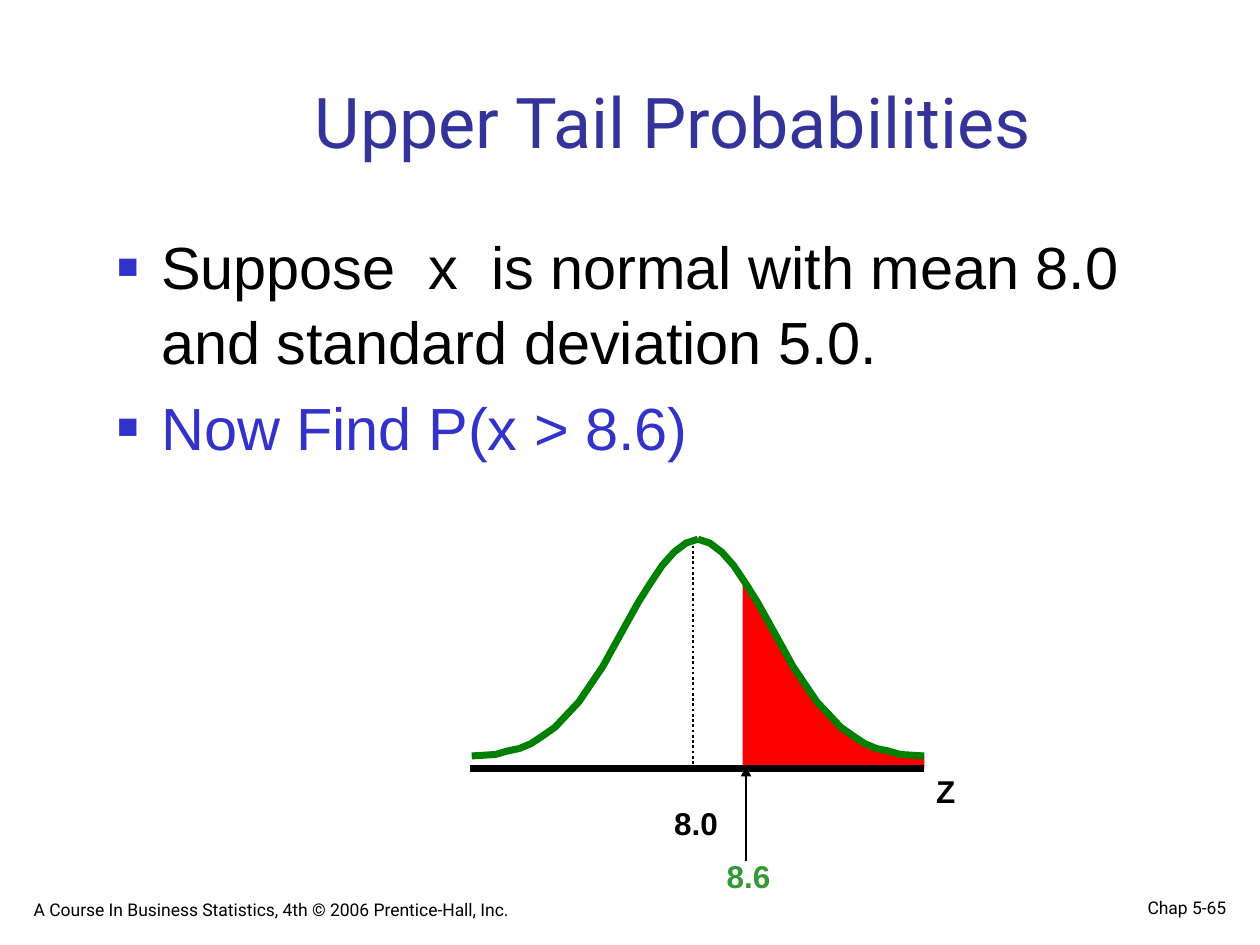
from lxml.etree import SubElement
from pptx import Presentation
from pptx.dml.color import RGBColor
from pptx.enum.dml import MSO_LINE
from pptx.enum.shapes import MSO_CONNECTOR
from pptx.enum.text import MSO_ANCHOR, PP_ALIGN
from pptx.oxml.ns import qn
from pptx.util import Cm, Pt


def rgb(value):
    return RGBColor.from_string(value)


class SlideBuilder:
    heading_font = "Roboto"
    body_font = "Arial"
    black = "000000"
    blue = "3333CC"

    def __init__(self, slide):
        self.s = slide

    def place(self, sp, left, top, width, height):
        sp.left, sp.top = Cm(left), Cm(top)
        sp.width, sp.height = Cm(width), Cm(height)

    def format(self, p, font, size, color, bold=False, align=PP_ALIGN.LEFT):
        p.alignment = align
        for r in p.runs:
            r.font.name = font
            r.font.size = Pt(size)
            r.font.bold = bold
            r.font.color.rgb = rgb(color)

    def title(self, text, *box):
        sp = self.s.shapes.title
        self.place(sp, *box)
        tf = sp.text_frame
        tf.text = text
        tf.vertical_anchor = MSO_ANCHOR.BOTTOM
        self.format(tf.paragraphs[0], self.heading_font, 40, "333399", align=PP_ALIGN.CENTER)

    def text(self, text, *box, font=body_font, size=18, color=black, bold=False,
             align=PP_ALIGN.LEFT, anchor=MSO_ANCHOR.TOP, wrap=True):
        sp = self.s.shapes.add_textbox(*map(Cm, box))
        tf = sp.text_frame
        tf.word_wrap = wrap
        tf.vertical_anchor = anchor
        tf.text = text
        self.format(tf.paragraphs[0], font, size, color, bold, align)

    def footer(self, text, *box, align=PP_ALIGN.LEFT):
        self.text(text, *box, font=self.heading_font, size=10, align=align,
                  anchor=MSO_ANCHOR.BOTTOM)

    def label(self, text, *box, color=black):
        self.text(text, *box, color=color, bold=True, wrap=False)

    def bullets(self, items, *box):
        tf = self.s.shapes.add_textbox(*map(Cm, box)).text_frame
        tf.word_wrap = True
        for i, (text, color) in enumerate(items):
            p = tf.paragraphs[0] if i == 0 else tf.add_paragraph()
            p.text = text
            p.line_spacing = 1.05
            if i:
                p.space_before = Pt(6)
            pPr = p._p.get_or_add_pPr()
            pPr.set("marL", str(Cm(0.89)))
            pPr.set("indent", str(-Cm(0.89)))
            clr = SubElement(pPr, qn("a:buClr"))
            SubElement(clr, qn("a:srgbClr"), val=self.blue)
            SubElement(pPr, qn("a:buSzPct"), val="60000")
            SubElement(pPr, qn("a:buFont"), typeface=self.body_font)
            SubElement(pPr, qn("a:buChar"), char="■")
            self.format(p, self.body_font, 34, color)

    def freeform(self, points, color, width, fill=False):
        start, *rest = [(Cm(x), Cm(y)) for x, y in points]
        builder = self.s.shapes.build_freeform(*start)
        builder.add_line_segments(rest, close=fill)
        sp = builder.convert_to_shape()
        sp.shadow.inherit = False
        if fill:
            sp.fill.solid()
            sp.fill.fore_color.rgb = rgb(color)
        else:
            sp.fill.background()
        sp.line.color.rgb = rgb(color)
        sp.line.width = Pt(width)

    def line(self, x1, y1, x2, y2, width, dash=None, arrow=False):
        cxn = self.s.shapes.add_connector(MSO_CONNECTOR.STRAIGHT, *map(Cm, (x1, y1, x2, y2)))
        cxn.line.color.rgb = rgb(self.black)
        cxn.line.width = Pt(width)
        if dash:
            cxn.line.dash_style = dash
        if arrow:
            SubElement(cxn.line._get_or_add_ln(), qn("a:tailEnd"), type="triangle")
        SubElement(cxn._element.spPr, qn("a:effectLst"))


def main():
    prs = Presentation()
    prs.slide_width, prs.slide_height = Cm(25.4), Cm(19.05)
    s = SlideBuilder(prs.slides.add_slide(prs.slide_layouts[5]))

    s.footer("Chap 5-65", 19.69, 17.78, 5.28, 0.86, align=PP_ALIGN.RIGHT)
    s.footer("A Course In Business Statistics, 4th © 2006 Prentice-Hall, Inc.",
             0.43, 17.78, 12.9, 0.89)
    s.title("Upper Tail Probabilities", 2.74, 1.07, 21.64, 2.34)
    s.bullets([("Suppose  x  is normal with mean 8.0 and standard deviation 5.0.", s.black),
               ("Now Find P(x > 8.6)", s.blue)], 2.11, 4.45, 22.43, 11.43)

    axis_y, center, step = 15.49, 14.07, 0.24
    upper_tail = [(14.99, axis_y), (14.99, 11.61), (15.09, 11.91), (15.34, 12.29),
                  (15.49, 12.65), (15.67, 12.9), (15.85, 13.28), (16.18, 13.79),
                  (16.46, 14.17), (16.92, 14.66), (17.65, 15.09), (18.62, 15.24),
                  (18.62, axis_y)]
    s.freeform(upper_tail, "FF0000", 1, fill=True)

    half_curve = [(0, 10.87), (1, 10.95), (2, 11.13), (3, 11.4), (4, 11.76), (5, 12.14),
                  (6, 12.57), (8, 13.44), (10, 14.15), (12, 14.66), (13, 14.83),
                  (14, 14.99), (15, 15.09), (16, 15.14), (17, 15.21), (19, 15.24)]
    for side in (1, -1):
        s.freeform([(center + side * step * k, y) for k, y in half_curve], "008000", 4)
    s.line(9.47, axis_y, 18.62, axis_y, 4)

    s.label("Z", 18.62, 15.44, 1.07, 1.02)
    s.label("8.6", 14.4, 17.15, 1.4, 1.02, color="339933")
    s.label("8.0", 13.34, 16.08, 1.4, 1.02)
    s.line(15.04, 17.35, 15.04, 15.44, 1, arrow=True)
    s.line(13.97, 11, 13.97, 15.44, 1.5, dash=MSO_LINE.ROUND_DOT)

    prs.save("out.pptx")


if __name__ == "__main__":
    main()
